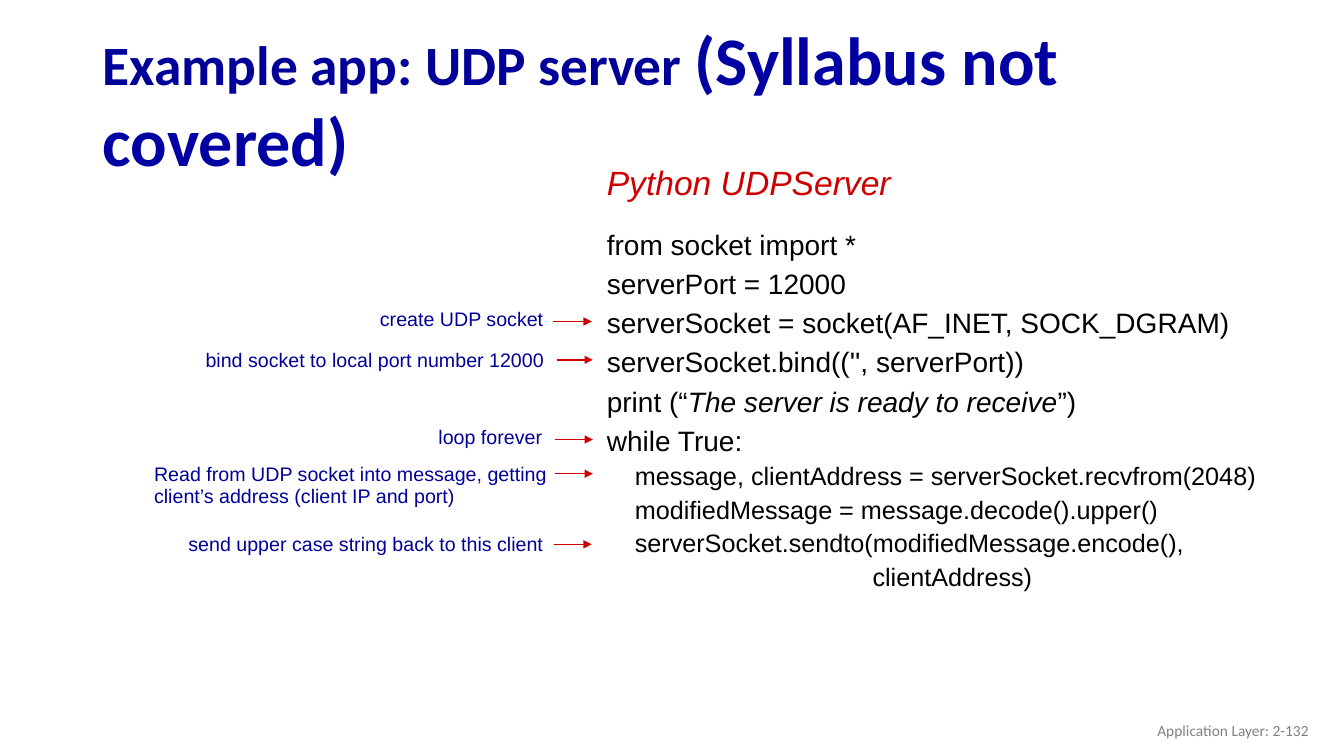
from pptx import Presentation
from pptx.dml.color import RGBColor
from pptx.enum.shapes import MSO_CONNECTOR as Connector
from pptx.enum.text import MSO_ANCHOR as Anchor, PP_ALIGN as Align
from pptx.oxml.ns import qn
from pptx.util import Inches, Pt
from lxml import etree

COLORS = {
    "title": "000099",
    "aside": "0000A3",
    "red": "CC0000",
    "code": "000000",
    "footer": "808080",
}


def add_text(shapes, place, lines, size=14, color="title", font="Arial", bold=False,
             italic=False, spacing=None, align=Align.LEFT, anchor=Anchor.TOP, wrap=True):
    """Each line is a list of (text, overrides); spacing is in points."""
    box = shapes.add_textbox(*[Inches(length) for length in place])
    frame = box.text_frame
    frame.word_wrap = wrap
    frame.vertical_anchor = anchor
    for index, line in enumerate(lines):
        para = frame.paragraphs[0] if index == 0 else frame.add_paragraph()
        para.alignment = align
        for text, changes in line:
            span = para.add_run()
            span.text = text
            span.font.name = font
            span.font.size = Pt(changes.get("size", size))
            span.font.bold = bold
            span.font.italic = changes.get("italic", italic)
            span.font.color.rgb = RGBColor.from_string(COLORS[changes.get("color", color)])
            line_spacing = changes.get("spacing", spacing)
            if line_spacing:
                para.line_spacing = Pt(line_spacing)


def add_arrow(shapes, left, right, top):
    arrow = shapes.add_connector(
        Connector.STRAIGHT, Inches(left), Inches(top), Inches(right), Inches(top))
    arrow.line.color.rgb = RGBColor.from_string(COLORS["red"])
    arrow.line.width = Pt(1)
    etree.SubElement(arrow.line._get_or_add_ln(), qn("a:tailEnd"), type="triangle")
    etree.SubElement(arrow._element.spPr, qn("a:effectLst"))


deck = Presentation()
deck.slide_width, deck.slide_height = Inches(13.33), Inches(7.5)
page = deck.slides.add_slide(deck.slide_layouts[6])

# Title
title = [("Example app: UDP server ", {}),
         ("(Syllabus not covered)", {"size": 48.6, "color": "aside"})]
add_text(page.shapes, (0.92, 0.49, 11.89, 0.98), [title], size=39.6,
         font="Calibri", bold=True, anchor=Anchor.MIDDLE)

# Code heading and listing
add_text(page.shapes, (5.92, 1.56, 3.05, 0.5), [[("Python UDPServer", {})]],
         size=24, color="red", italic=True)

body = {"size": 18, "spacing": 24}
code = [
    [("from socket import *", {})],
    [("serverPort = 12000", {})],
    [("serverSocket = socket(AF_INET, SOCK_DGRAM)", {})],
    [("serverSocket.bind(('', serverPort))", {})],
    [("print (“", {}), ("The server is ready to receive", {"italic": True}), ("”)", {})],
    [("while True:", {})],
    [("    message, clientAddress = serverSocket.recvfrom(2048)", body)],
    [("    modifiedMessage = message.decode().upper()", body)],
    [("    serverSocket.sendto(modifiedMessage.encode(),", body)],
    [("                                      clientAddress)", body)],
]
add_text(page.shapes, (5.92, 2.15, 6.72, 4.38), code, size=20, color="code",
         spacing=28, wrap=False)

# Notes pointing at code lines: text, box, line spacing, arrow (left, right, top)
notes = [
    ("create UDP socket", (3.67, 3, 2.8, 0.34), None, (5.48, 5.87, 3.19)),
    ("bind socket to local port number 12000", (1.94, 3.4, 3.94, 0.34), None,
     (5.52, 5.88, 3.57)),
    ("loop forever", (4.25, 4.18, 1.31, 0.33), 16, (5.5, 5.88, 4.36)),
    ("Read from UDP socket into message, getting client’s address (client IP and port)",
     (1.43, 4.54, 4.2, 0.55), 16, (5.5, 5.88, 4.7)),
    ("send upper case string back to this client", (1.77, 5.23, 4.2, 0.34), None,
     (5.49, 5.87, 5.4)),
]
for text, place, spacing, arrow_place in notes:
    group = page.shapes.add_group_shape()
    add_text(group.shapes, place, [[(text, {})]], spacing=spacing)
    add_arrow(group.shapes, *arrow_place)

# Footer
add_text(page.shapes, (10.08, 7.05, 3, 0.4), [[("Application Layer: 2-132", {})]],
         size=11, color="footer", font="Calibri", align=Align.RIGHT, anchor=Anchor.MIDDLE)

deck.save("out.pptx")
